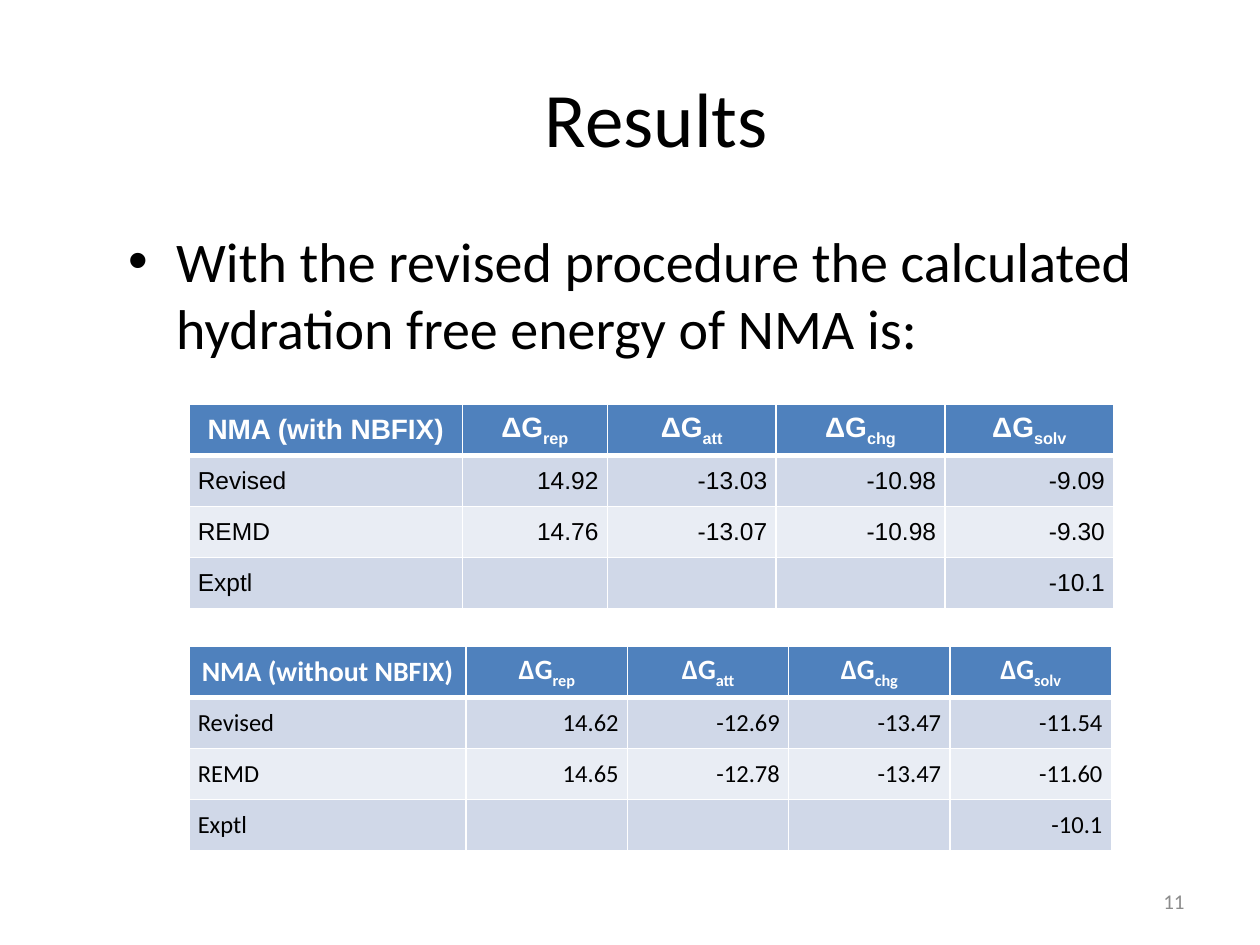
"""Build the results slide comparing NMA hydration free energies."""
from lxml.etree import SubElement
from pptx import Presentation
from pptx.dml.color import RGBColor
from pptx.enum.text import MSO_ANCHOR, PP_ALIGN
from pptx.oxml.ns import qn
from pptx.util import Inches, Pt

BLACK = RGBColor(0x00, 0x00, 0x00)
WHITE = RGBColor(0xFF, 0xFF, 0xFF)
GREY = RGBColor(0x8C, 0x8C, 0x8C)
HEADER_BLUE = RGBColor(0x4F, 0x81, 0xBD)
BAND_DARK = RGBColor(0xD0, 0xD8, 0xE8)
BAND_LIGHT = RGBColor(0xE9, 0xED, 0xF4)

ENERGY_TERMS = ["rep", "att", "chg", "solv"]
WITH_NBFIX = [
    ["Revised", "14.92", "-13.03", "-10.98", "-9.09"],
    ["REMD", "14.76", "-13.07", "-10.98", "-9.30"],
    ["Exptl", "", "", "", "-10.1"],
]
WITHOUT_NBFIX = [
    ["Revised", "14.62", "-12.69", "-13.47", "-11.54"],
    ["REMD", "14.65", "-12.78", "-13.47", "-11.60"],
    ["Exptl", "", "", "", "-10.1"],
]


def write_text(frame, text, *, size, font="Calibri", color=BLACK, bold=False,
               align=PP_ALIGN.LEFT, subscript="", bullet=False):
    paragraph = frame.paragraphs[0]
    paragraph.alignment = align
    if bullet:
        properties = paragraph._p.get_or_add_pPr()
        properties.set("marL", str(Inches(0.38)))
        properties.set("indent", str(-Inches(0.38)))
        SubElement(properties, qn("a:buFont"), typeface="Arial")
        SubElement(properties, qn("a:buChar"), char="•")
    for part in filter(None, (text, subscript)):
        run = paragraph.add_run()
        run.text = part
        run.font.name = font
        run.font.size = Pt(size)
        run.font.bold = bold
        run.font.color.rgb = color
    if subscript:
        run._r.get_or_add_rPr().set("baseline", "-25000")


class SlideBuilder:
    def __init__(self, slide):
        self.slide = slide
        self.row_height = 0.405
        self.header_size = 16
        self.body_size = 14

    def add_text(self, text, left, top, width, height,
                 anchor=MSO_ANCHOR.MIDDLE, **text_format):
        box = self.slide.shapes.add_textbox(
            Inches(left), Inches(top), Inches(width), Inches(height))
        frame = box.text_frame
        frame.word_wrap = True
        frame.vertical_anchor = anchor
        write_text(frame, text, **text_format)

    def style_cell(self, cell, fill, top_width=1, bottom_width=1):
        cell.margin_left = cell.margin_right = Inches(0.07)
        cell.margin_top = cell.margin_bottom = 0
        cell.vertical_anchor = MSO_ANCHOR.MIDDLE
        properties = cell._tc.get_or_add_tcPr()
        widths = {"L": 1, "R": 1, "T": top_width, "B": bottom_width}
        for side, width in widths.items():
            line = SubElement(properties, qn(f"a:ln{side}"), w=str(Pt(width)))
            line_fill = SubElement(line, qn("a:solidFill"))
            SubElement(line_fill, qn("a:srgbClr"), val=str(WHITE))
        cell.fill.solid()
        cell.fill.fore_color.rgb = fill

    def add_energy_table(self, title, rows, left, top, column_widths, font):
        row_count = len(rows) + 1
        table = self.slide.shapes.add_table(
            row_count, len(column_widths), Inches(left), Inches(top),
            Inches(sum(column_widths)),
            Inches(self.row_height * row_count)).table
        for column, width in zip(table.columns, column_widths):
            column.width = Inches(width)
        for row in table.rows:
            row.height = Inches(self.row_height)

        headings = [(title, "")] + [("ΔG", term) for term in ENERGY_TERMS]
        for index, (text, subscript) in enumerate(headings):
            cell = table.cell(0, index)
            self.style_cell(cell, HEADER_BLUE, bottom_width=3)
            write_text(cell.text_frame, text, subscript=subscript, font=font,
                       size=self.header_size, color=WHITE, bold=True,
                       align=PP_ALIGN.CENTER)

        for row_index, values in enumerate(rows, start=1):
            fill = BAND_DARK if row_index % 2 else BAND_LIGHT
            for column_index, value in enumerate(values):
                cell = table.cell(row_index, column_index)
                self.style_cell(cell, fill, top_width=3 if row_index == 1 else 1)
                write_text(cell.text_frame, value, font=font, size=self.body_size,
                           align=PP_ALIGN.RIGHT if column_index else PP_ALIGN.LEFT)


def main():
    presentation = Presentation()
    presentation.slide_width = Inches(10)
    presentation.slide_height = Inches(7.5)
    slide = presentation.slides.add_slide(presentation.slide_layouts[6])
    builder = SlideBuilder(slide)

    builder.add_text("Results", 0.92, 0.3, 8.58, 1.25,
                     size=44, align=PP_ALIGN.CENTER)
    builder.add_text("11", 7.17, 6.95, 2.33, 0.4,
                     size=12, color=GREY, align=PP_ALIGN.RIGHT)
    builder.add_energy_table("NMA (with NBFIX)", WITH_NBFIX, 1.5, 3.21,
                             [2.17, 1.15] + [1.34] * 3, "Arial")
    builder.add_text(
        "With the revised procedure the calculated hydration free energy of NMA is:",
        0.92, 1.75, 8.58, 1.25, anchor=MSO_ANCHOR.TOP, size=32, bullet=True)
    builder.add_energy_table("NMA (without NBFIX)", WITHOUT_NBFIX, 1.5, 5.13,
                             [2.2] + [1.28] * 4, "Calibri")
    presentation.save("out.pptx")


if __name__ == "__main__":
    main()
